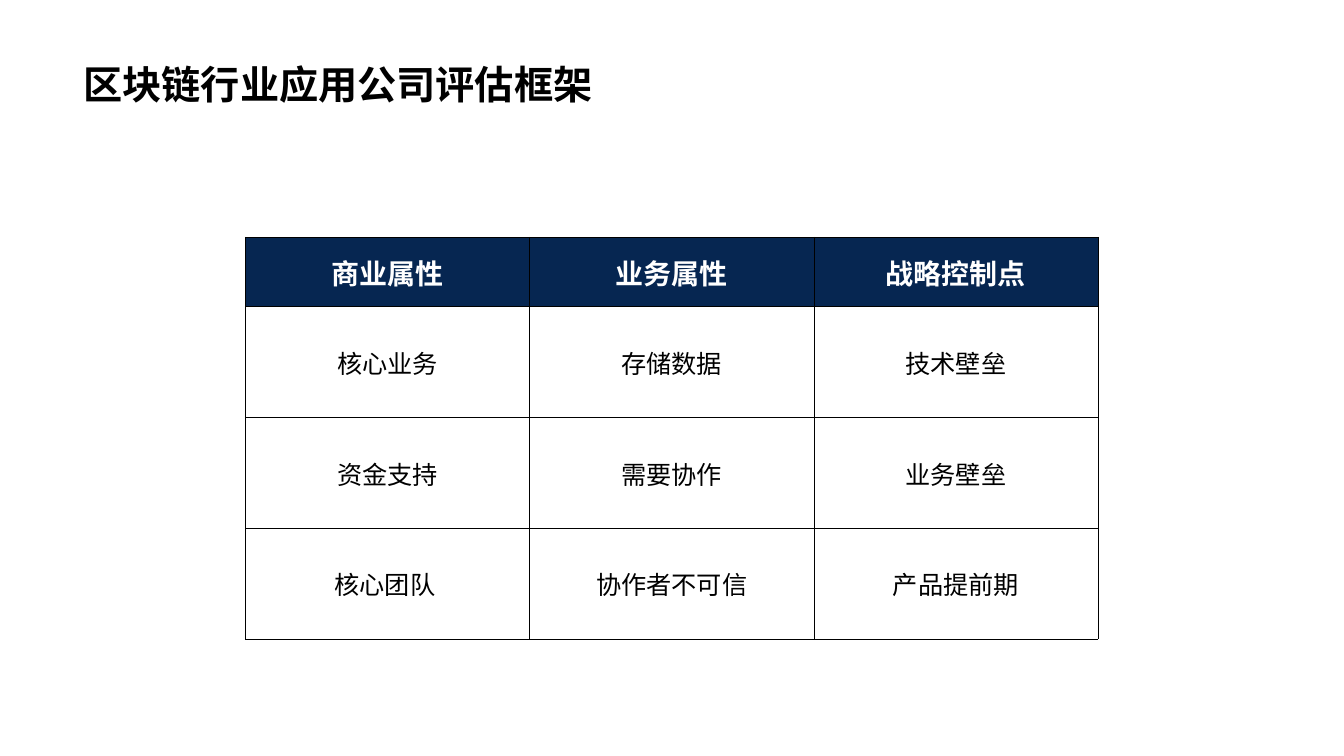
from lxml.etree import SubElement as Sub
from pptx import Presentation
from pptx.dml.color import RGBColor as Rgb
from pptx.enum.text import MSO_ANCHOR as Anchor, PP_ALIGN as Align
from pptx.oxml import parse_xml
from pptx.oxml.ns import nsdecls, qn
from pptx.util import Cm, Pt

NAVY, WHITE, BLACK = "062651", "FFFFFF", "000000"
HEAD = ["商业属性", "业务属性", "战略控制点"]
BODY = [
    ["核心业务", "存储数据", "技术壁垒"],
    ["资金支持", "需要协作", "业务壁垒"],
    ["核心团队 ", "协作者不可信", "产品提前期"],
]


def paint(target, color):
    target.solid()
    target.fore_color.rgb = Rgb.from_string(color)


def write(frame, text, size=18, color=BLACK, bold=False, font="Noto Sans CJK SC",
          align=Align.LEFT, space=1.0):
    para = frame.paragraphs[0]
    para.alignment, para.line_spacing = align, space
    run = para.add_run()
    run.text = text
    run.font.size, run.font.bold, run.font.name = Pt(size), bold, font
    paint(run.font.fill, color)
    Sub(run._r.rPr, qn("a:ea")).set("typeface", "Noto Sans CJK SC")


class Deck:
    """Holds the style and the current slide."""

    def __init__(self, width, height):
        self.show = Presentation()
        self.show.slide_width, self.show.slide_height = Cm(width), Cm(height)
        self.slide = self.show.slides.add_slide(self.show.slide_layouts[5])
        self.edge, self.line = BLACK, 0.5

    def title(self, text, left, top, width, height):
        box = self.slide.shapes.title
        box.left, box.top, box.width, box.height = map(Cm, (left, top, width, height))
        box.text_frame.vertical_anchor = Anchor.BOTTOM
        write(box.text_frame, text, size=28, bold=True, font="Arial", space=0.9)

    def border(self, cell):
        props = cell._tc.get_or_add_tcPr()
        for i, side in enumerate("LRTB"):
            props.insert(i, parse_xml(
                f'<a:ln{side} {nsdecls("a")} w="{Pt(self.line)}"><a:solidFill>'
                f'<a:srgbClr val="{self.edge}"/></a:solidFill></a:ln{side}>'))

    def cell(self, cell, text, head):
        cell.vertical_anchor = Anchor.MIDDLE
        cell.margin_left = cell.margin_right = cell.margin_top = Cm(0.02)
        cell.margin_bottom = 0
        self.border(cell)
        if head:
            paint(cell.fill, NAVY)
            write(cell.text_frame, text, size=20, color=WHITE, bold=True, align=Align.CENTER)
        else:
            cell.fill.background()
            write(cell.text_frame, text, align=Align.CENTER)

    def table(self, rows, left, top, width, high, tall):
        count, cols = len(rows), len(rows[0])
        full = high + tall * (count - 1)
        grid = self.slide.shapes.add_table(
            count, cols, Cm(left), Cm(top), Cm(width * cols), Cm(full)).table
        for col in grid.columns:
            col.width = Cm(width)
        for r, row in enumerate(rows):
            grid.rows[r].height = Cm(tall if r else high)
            for c, text in enumerate(row):
                self.cell(grid.cell(r, c), text, head=r == 0)


def main():
    deck = Deck(33.87, 19.05)
    deck.title("区块链行业应用公司评估框架", 1.85, 0, 30.15, 2.84)
    deck.table([HEAD] + BODY, left=6.19, top=5.98, width=7.16, high=1.75, tall=2.79)
    deck.show.save("out.pptx")


if __name__ == "__main__":
    main()
